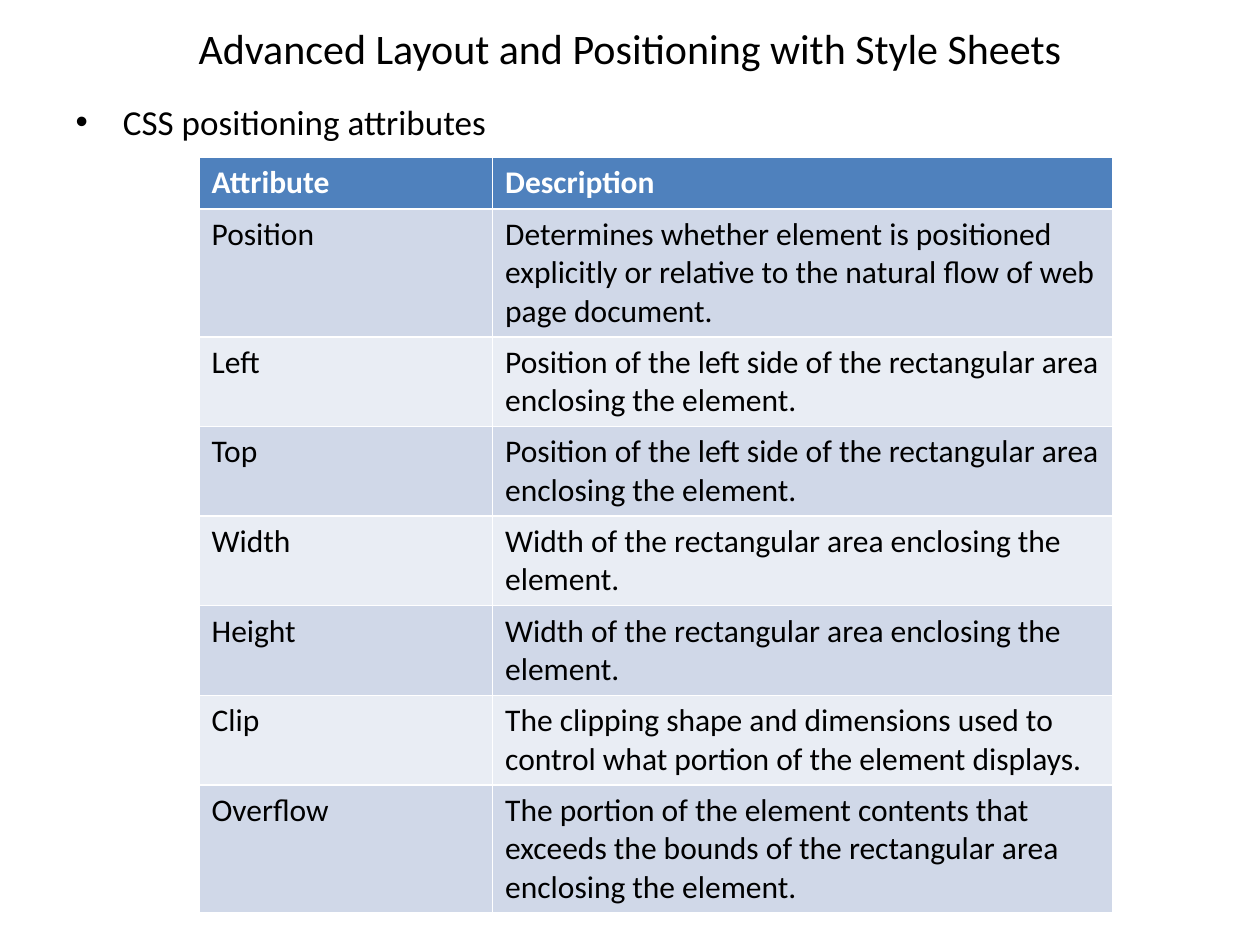
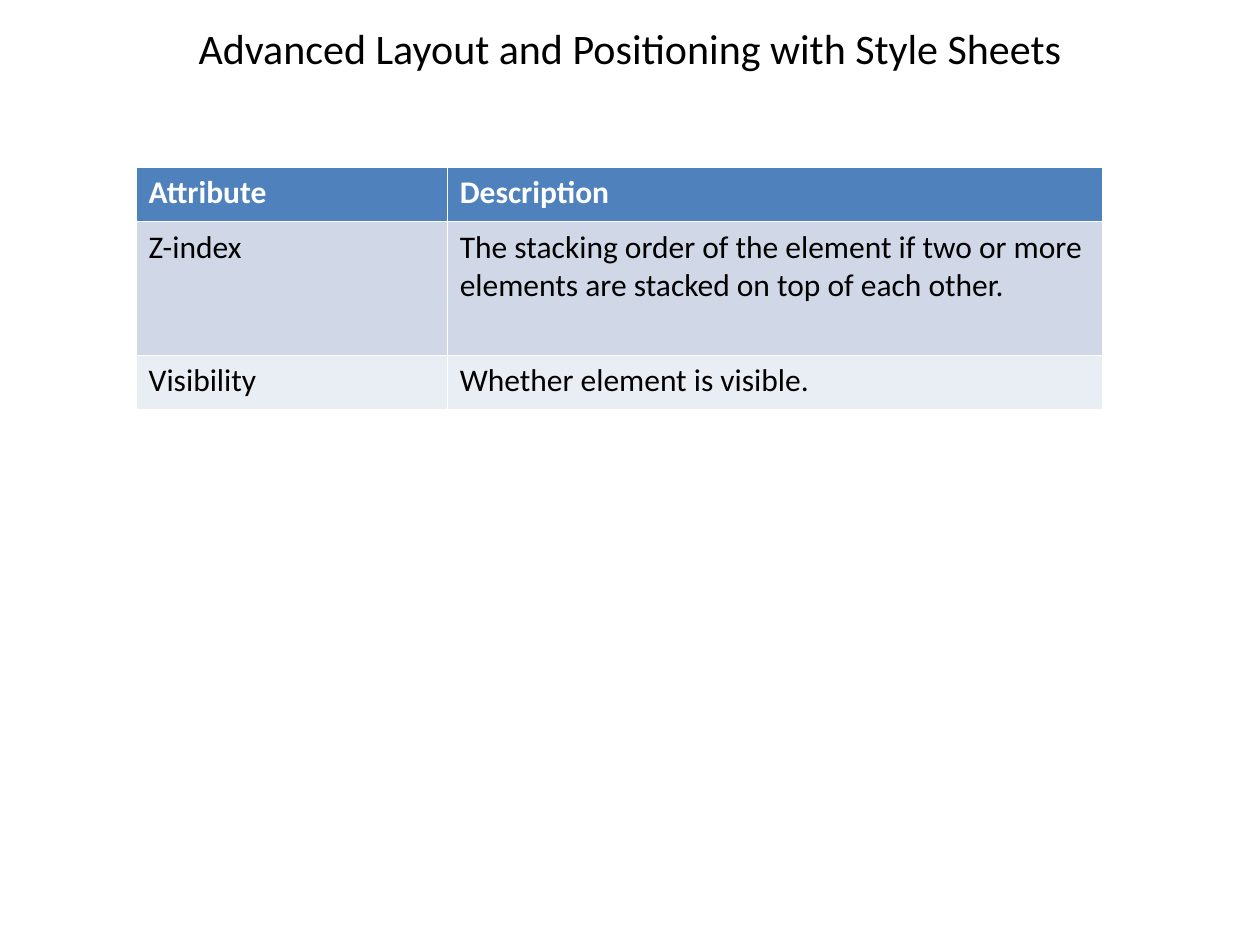
from pptx import Presentation
from pptx.dml.color import RGBColor
from pptx.enum.text import MSO_ANCHOR, MSO_AUTO_SIZE, PP_ALIGN
from pptx.util import Inches, Pt

FONT = "Calibri"
COLORS = {"text": "000000", "header_text": "FFFFFF", "header": "4F81BD",
          "odd_row": "D0D8E8", "even_row": "E9EDF4"}
TITLE = "Advanced Layout and Positioning with Style Sheets"
HEADER = ("Attribute", "Description")
LEFT_SIDE = "Position of the left side of the rectangular area enclosing the element."
WIDTH = "Width of the rectangular area enclosing the element."

# Slide contents: bullet, table position, column widths, row heights, rows
SLIDES = [
    {"bullet": "CSS positioning attributes",
     "at": (1.58, 1.25), "cols": (2.33, 4.92), "heights": [0.41] * 8,
     "rows": [
         ("Position", "Determines whether element is positioned explicitly or "
                      "relative to the natural flow of web page document."),
         ("Left", LEFT_SIDE),
         ("Top", LEFT_SIDE),
         ("Width", WIDTH),
         ("Height", WIDTH),
         ("Clip", "The clipping shape and dimensions used to control what "
                  "portion of the element displays."),
         ("Overflow", "The portion of the element contents that exceeds the "
                      "bounds of the rectangular area enclosing the element."),
     ]},
    {"bullet": None,
     "at": (1.08, 1.33), "cols": (2.47, 5.2), "heights": [0.43, 1.06, 0.43],
     "rows": [
         ("Z-index", "The stacking order of the element if two or more "
                     "elements are stacked on top of each other."),
         ("Visibility", "Whether element is visible."),
     ]},
]


def place(sp, left, top, width, height):
    sp.left, sp.top = Inches(left), Inches(top)
    sp.width, sp.height = Inches(width), Inches(height)
    sp.text_frame.auto_size = MSO_AUTO_SIZE.NONE


def write(tf, text, size, color="text", bold=False):
    tf.text = text
    p = tf.paragraphs[0]
    font = p.runs[0].font
    font.name, font.size, font.bold = FONT, Pt(size), bold
    font.color.rgb = RGBColor.from_string(COLORS[color])
    return p


prs = Presentation()
prs.slide_width, prs.slide_height = Inches(10), Inches(7.5)

for content in SLIDES:
    # Title and Content when there is a bullet, otherwise Title Only
    s = prs.slides.add_slide(prs.slide_layouts[1 if content["bullet"] else 5])

    # Title
    place(s.shapes.title, 0.5, 0, 9, 0.75)
    p = write(s.shapes.title.text_frame, TITLE, 24)
    p.alignment = PP_ALIGN.CENTER
    s.shapes.title.text_frame.vertical_anchor = MSO_ANCHOR.MIDDLE

    # Bullet
    if content["bullet"]:
        body = s.placeholders[1]
        place(body, 0.5, 0.58, 9, 6.75)
        p = write(body.text_frame, content["bullet"], 20)
        p.line_spacing = 1.5

    # Attribute table; its default style draws the white rules
    rows = [HEADER] + content["rows"]
    left, top = content["at"]
    table = s.shapes.add_table(len(rows), len(HEADER), Inches(left), Inches(top),
                               Inches(sum(content["cols"])),
                               Inches(sum(content["heights"]))).table
    for column, width in zip(table.columns, content["cols"]):
        column.width = Inches(width)
    for row, height in zip(table.rows, content["heights"]):
        row.height = Inches(height)
    for i, row in enumerate(rows):
        fill = "header" if i == 0 else "odd_row" if i % 2 else "even_row"
        for j, text in enumerate(row):
            cell = table.cell(i, j)
            cell.fill.solid()
            cell.fill.fore_color.rgb = RGBColor.from_string(COLORS[fill])
            write(cell.text_frame, text, 18,
                  "header_text" if i == 0 else "text", bold=i == 0)

prs.save("out.pptx")
